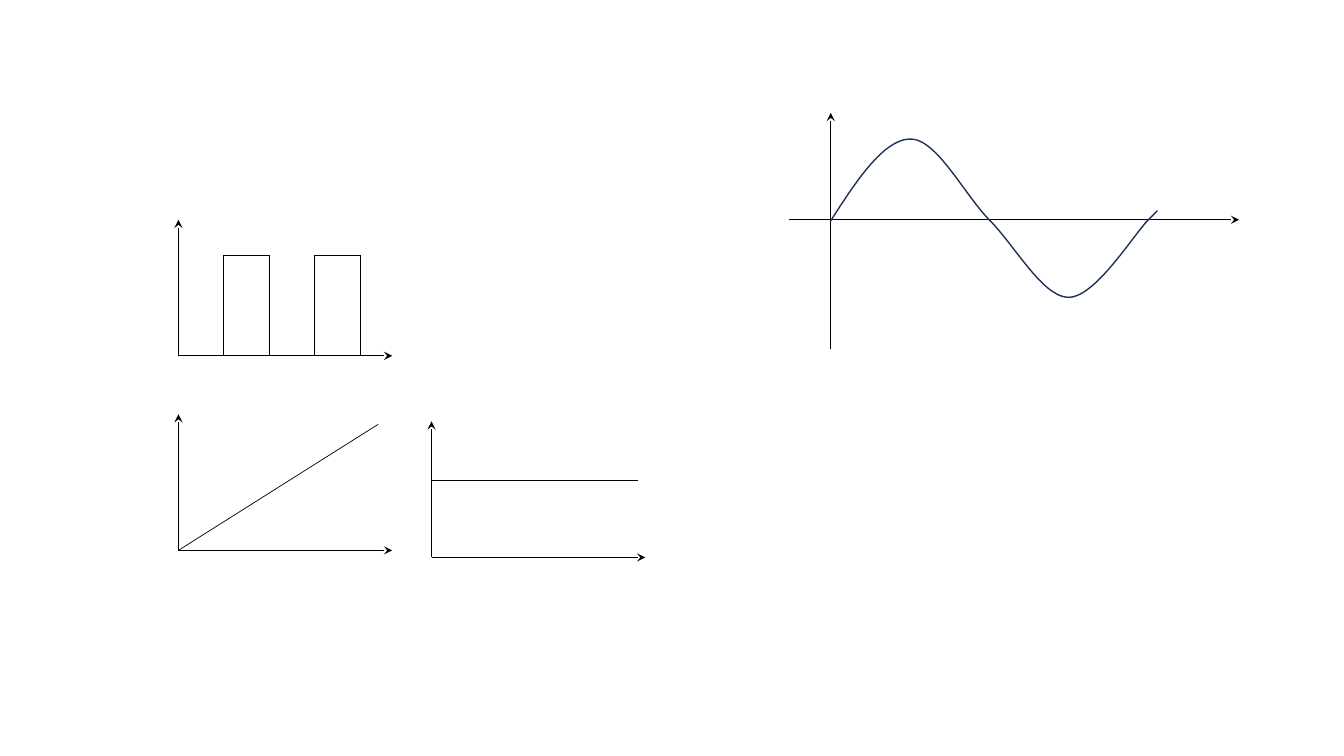
from pptx import Presentation
from pptx.dml.color import RGBColor as Rgb
from pptx.enum.shapes import MSO_CONNECTOR as Conn
from pptx.util import Inches, Pt
from lxml.etree import SubElement as Sub
from pptx.oxml.ns import qn

theme = {
    "axis": {"color": Rgb.from_string("000000"), "width": Pt(0.5)},
    "wave": {"color": Rgb.from_string("1E3256"), "width": Pt(1)},
}

deck = Presentation()
deck.slide_width, deck.slide_height = Inches(13.33), Inches(7.5)
slide = deck.slides.add_slide(deck.slide_layouts[6])


def style(line, look):
    line.color.rgb = look["color"]
    line.width = look["width"]


def draw(shapes, start, end, arrow=False):
    line = shapes.add_connector(Conn.STRAIGHT, *map(Inches, start + end))
    style(line.line, theme["axis"])
    if arrow:
        Sub(line.line._get_or_add_ln(), qn("a:tailEnd"), type="stealth")
    Sub(line._element.spPr, qn("a:effectLst"))


# Axes of the three small plots, each from its origin
wide, high = 2.12, 1.35
pulse, ramp, flat = (1.77, 3.53), (1.77, 5.46), (4.28, 5.53)
for x, y in (pulse, ramp, flat):
    draw(slide.shapes, (x, y), (x, y - high), arrow=True)
    draw(slide.shapes, (x, y), (x + wide, y), arrow=True)

# Two square pulses, one step wide and two steps apart
step, base = 0.45, pulse[1]
top = base - 1
for count in (1, 3):
    left = pulse[0] + count * step
    right = left + step
    group = slide.shapes.add_group_shape()
    draw(group.shapes, (left, base), (left, top))
    draw(group.shapes, (left, top), (right, top))
    draw(group.shapes, (right, base), (right, top))

# Ramp and constant level
draw(slide.shapes, ramp, (3.75, 4.21))
draw(slide.shapes, (flat[0], 4.77), (6.33, 4.77))

# Axes of the sine plot
draw(slide.shapes, (8.24, 3.46), (8.24, 1.12), arrow=True)
draw(slide.shapes, (7.83, 2.18), (12.29, 2.18), arrow=True)

# Sine wave: points sampled along cubic curves
first = (8.24, 2.19)
curves = [
    ((8.5, 1.78), (8.77, 1.38), (9.03, 1.38)),
    ((9.29, 1.38), (9.55, 1.91), (9.81, 2.18)),
    ((10.07, 2.44), (10.34, 2.95), (10.6, 2.95)),
    ((10.87, 2.95), (11.26, 2.3), (11.4, 2.17)),
    ((11.53, 2.04), (11.47, 2.1), (11.4, 2.17)),
]
parts = 24
points, last = [], first
for curve in curves:
    knots = (last,) + curve
    for i in range(1, parts + 1):
        t = i / parts
        s = 1 - t
        mix = (s**3, 3 * s * s * t, 3 * s * t * t, t**3)
        points.append(tuple(
            Inches(sum(m * k[axis] for m, k in zip(mix, knots)))
            for axis in (0, 1)))
    last = curve[-1]
path = slide.shapes.build_freeform(*map(Inches, first))
path.add_line_segments(points, close=False)
wave = path.convert_to_shape()
wave.shadow.inherit = False
wave.fill.background()
style(wave.line, theme["wave"])

deck.save("out.pptx")
